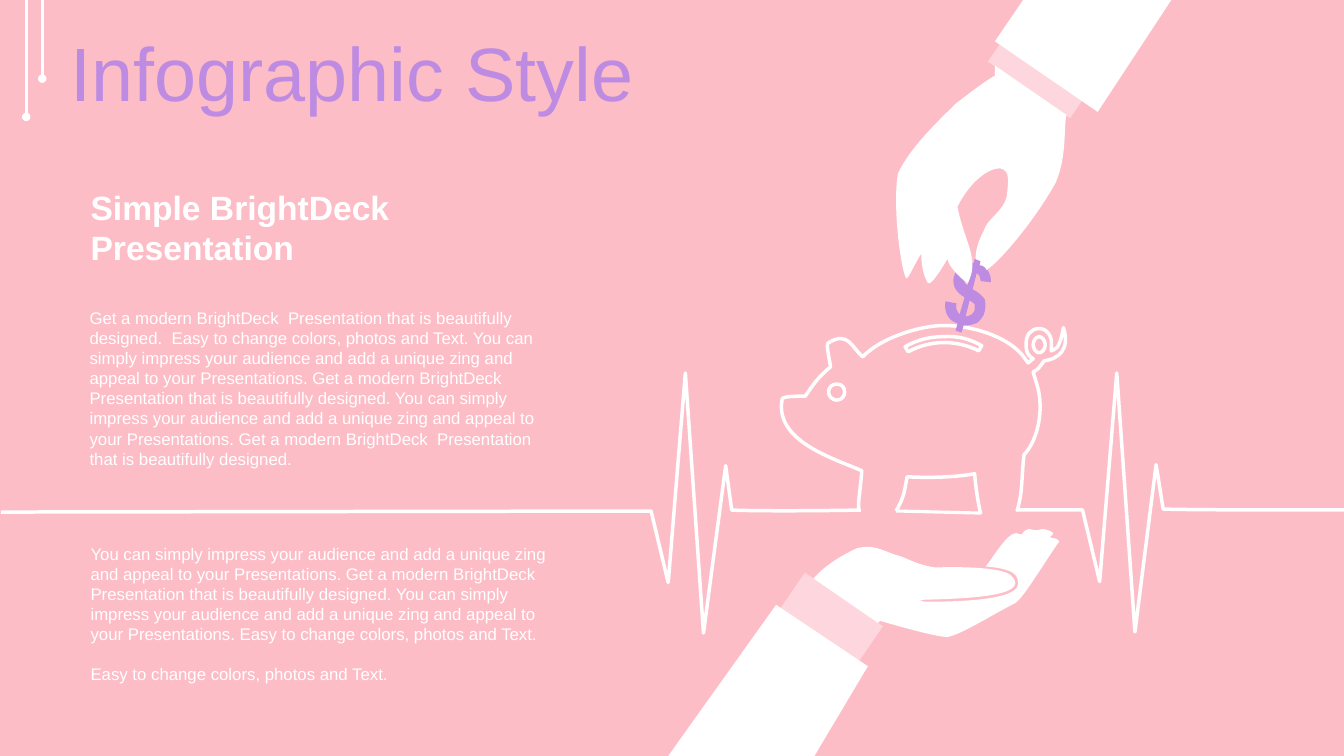
from lxml.etree import SubElement
from pptx import Presentation
from pptx.dml.color import RGBColor
from pptx.enum.shapes import MSO_CONNECTOR, MSO_SHAPE
from pptx.enum.text import MSO_ANCHOR
from pptx.oxml.ns import qn
from pptx.util import Pt

COLORS = {"pink": "FDBDC7", "white": "FFFFFF", "purple": "BE8BE2"}
GRID = Pt(0.72)  # one unit of the outlines below
SIZES = {"M": 2, "L": 2, "C": 6, "Z": 0}  # numbers after each letter

# Each outline is a list of parts that make one shape
PIG = [
    """M 830 381 C 826 381 822 384 822 389 822 393 826 397 830 397
835 397 838 393 838 389 838 384 835 381 830 381 Z""",
    """M 1031 334 C 1028 334 1025 338 1025 342 1025 346 1028 350 1031 350
1034 350 1037 346 1037 342 1037 338 1034 334 1031 334 Z""",
    """M 936 334 C 923 334 910 337 898 344 L 901 349 C 923 337 949 337 971 348
L 974 343 C 962 336 949 333 936 334 Z""",
    """M 973 510 C 970 497 968 483 967 470 945 474 918 474 900 473
897 489 897 493 889 507""",
    """M 852 505 C 851 499 854 483 855 467 828 455 768 438 776 396
776 393 791 393 799 393 807 381 812 374 824 364 823 356 819 341 822 340
842 328 845 345 856 354 874 335 911 324 933 323 964 322 999 334 1014 352
L 1020 360 C 1022 359 1022 358 1025 356 1019 352 1018 349 1018 341
1018 332 1023 326 1031 326 1039 326 1044 334 1043 342
1043 346 1043 344 1043 348 1046 346 1051 349 1055 325
1062 347 1050 356 1036 358 1032 363 1030 367 1025 369
L 1030 386 C 1036 413 1027 440 1016 451 1013 476 1015 487 1009 507"""]

RIGHT_PULSE = ["""M 1008 506 L 1074 506 1091 577 1108 370 1126 627 1147 461
1154 505 C 1174 506 1282 506 1334 506"""]
LEFT_PULSE = ["""M 1 508 L 646 507 663 578 680 370 698 628 720 462
726 506 C 746 507 802 507 854 506"""]

DOLLAR = [
    """M 962 298 L 958 314 C 960 314 962 313 964 312
965 311 966 310 967 308 967 306 967 304 967 302 966 301 964 299 962 298 Z""",
    """M 964 270 C 962 270 960 270 959 271 958 272 957 274 957 275
956 277 956 278 957 280 957 281 958 282 960 283 Z""",
    """M 967 257 L 973 259 972 263 C 976 264 979 266 981 270
983 273 983 276 983 280
L 973 279 C 973 276 972 273 969 271 L 965 287 C 971 290 975 294 977 297
978 301 978 304 977 309 976 314 973 317 970 320 966 322 961 323 956 323
L 954 330 948 328 950 321 C 945 319 942 317 940 313 938 309 937 305 938 299
L 949 301 C 948 303 949 305 949 307 950 309 951 311 952 312
L 957 295 C 952 292 949 289 947 285 946 281 945 277 947 273
948 269 950 265 954 263 957 261 961 260 966 261 Z"""]

GIVER = [
    """M 987 65 L 1058 114 1057 121 C 1056 141 1056 162 1047 182
1025 221 992 259 980 267 L 979 268 977 265 C 976 264 974 263 972 263
L 973 259 968 257 968 255 C 968 248 971 238 976 229
979 217 996 210 999 194 1000 181 1003 169 992 167 981 167 963 179 950 205""",
    """C 956 239 973 257 960 281 957 279 942 267 940 257
934 267 924 283 921 281 918 278 914 266 914 252
909 258 901 278 899 276 894 269 885 203 891 172
903 146 932 119 948 103 969 87 974 83 987 75 Z"""]
GIVER_SLEEVE = ["M 1015 0 L 1162 0 1089 111 987 41 Z"]

TAKER = [
    """M 1020 525 C 1022 525 1024 525 1026 526 1031 527 1033 522 1044 528
1047 530 1041 532 1042 533 1043 535 1047 532 1051 537
1036 558 1014 596 1006 599 984 610 955 629 940 632 933 632 917 628 898 623
L 873 616 871 618 807 574 815 566 C 822 560 831 553 850 544""",
    """C 866 540 873 545 887 550 900 553 907 560 928 563
956 562 998 563 1004 572 1023 592 956 594 917 595
L 912 596 918 597 C 1024 597 1010 579 1009 573
1006 565 989 563 978 562 987 551 1002 523 1012 530
1014 532 1015 526 1020 525 Z"""]
TAKER_SLEEVE = ["M 808 750 L 663 750 C 685 719 748 631 770 600 L 861 661 808 750 Z"]

CLAIM = ("You can simply impress your audience and add a unique zing and "
         "appeal to your Presentations.")
WIDE = "Get a modern BrightDeck  Presentation that is beautifully designed."
MODERN = WIDE.replace("  ", " ")
EASY = "Easy to change colors, photos and Text."
FIRST = f"{WIDE}  {EASY} {CLAIM} {MODERN} {CLAIM} {WIDE}"
SECOND = f"{CLAIM} {WIDE} {CLAIM} {EASY}"


def steps(parts):
    """Yield each letter with its points; numbers may repeat a letter."""
    words = " ".join(parts).split()
    spot = 0
    while spot < len(words):
        if words[spot] in SIZES:
            op = words[spot]
            spot += 1
        nums = [int(word) for word in words[spot:spot + SIZES[op]]]
        spot += SIZES[op]
        yield op, list(zip(nums[::2], nums[1::2]))


class Deck:
    font = "Arial"

    def __init__(self):
        self.prs = Presentation()
        self.prs.slide_width, self.prs.slide_height = Pt(960), Pt(540)
        self.slide = self.prs.slides.add_slide(self.prs.slide_layouts[6])
        self.shapes = self.slide.shapes
        self.paint(self.slide.background.fill, "pink")

    def paint(self, fill, color):
        fill.solid()
        fill.fore_color.rgb = RGBColor.from_string(COLORS[color])

    def line(self, x1, y1, x2, y2, width, tail=None):
        line = self.shapes.add_connector(
            MSO_CONNECTOR.STRAIGHT, Pt(x1), Pt(y1), Pt(x2), Pt(y2))
        self.paint(line.line.fill, "white")
        line.line.width = Pt(width)
        props = line._element.spPr
        if tail:
            SubElement(props.find(qn("a:ln")), qn("a:tailEnd"), type=tail)
        SubElement(props, qn("a:effectLst"))

    def draw(self, parts, fill=None, width=2.5):
        moves = list(steps(parts))
        pen = self.shapes.build_freeform(*moves[0][1][0], scale=GRID)
        for op, points in moves[1:]:
            if op == "M":
                pen.move_to(*points[0])
            else:
                pen.add_line_segments(points, close=op == "Z")
        shape = pen.convert_to_shape()
        # Join each three control points into one curve
        nodes = iter(list(shape._element.find(".//" + qn("a:path"))))
        for op, points in moves:
            node = next(nodes)
            if op == "C":
                node.tag = qn("a:cubicBezTo")
                for other in (next(nodes), next(nodes)):
                    node.append(other[0])
                    other.getparent().remove(other)
        shape.shadow.inherit = False
        if fill:
            self.paint(shape.fill, fill)
            shape.line.fill.background()
        else:
            shape.fill.background()
            self.paint(shape.line.fill, "white")
            shape.line.width = Pt(width)

    def cuff(self, x, y, w, h):
        cuff = self.shapes.add_shape(MSO_SHAPE.RECTANGLE, Pt(x), Pt(y), Pt(w), Pt(h))
        cuff.rotation = 34.5
        cuff.shadow.inherit = False
        self.paint(cuff.fill, "white")
        tint = cuff._element.spPr.find(".//" + qn("a:srgbClr"))
        SubElement(tint, qn("a:alpha"), val="40000")
        cuff.line.fill.background()

    def text(self, x, y, w, h, lines, size, color="white", bold=False,
             pitch=1.0, gap=0, anchor=MSO_ANCHOR.TOP):
        frame = self.shapes.add_textbox(Pt(x), Pt(y), Pt(w), Pt(h)).text_frame
        frame.word_wrap = True
        frame.vertical_anchor = anchor
        frame.text = "\n".join(lines)
        for rank, para in enumerate(frame.paragraphs):
            para.line_spacing = pitch
            if rank:
                para.space_before = Pt(gap)
            for run in para.runs:
                font = run.font
                font.name, font.size, font.bold = self.font, Pt(size), bold
                font.color.rgb = RGBColor.from_string(COLORS[color])


def main():
    deck = Deck()
    # Hanging pins in the corner
    for x, end in ((18.7, 83.5), (30.2, 56.2)):
        deck.line(x, 0, x, end, 2, "oval")
    # Piggy bank on the pulse line, with the coin sign
    for outline in (PIG, RIGHT_PULSE, LEFT_PULSE):
        deck.draw(outline)
    deck.draw(DOLLAR, "purple")
    deck.line(640.1, 365, 700.6, 366.5, 2.25)
    # Hand from above
    deck.draw(GIVER, "white")
    deck.cuff(710.6, 28.1, 71.3, 39.6)
    deck.draw(GIVER_SLEEVE, "white")
    # Hand from below
    deck.draw(TAKER, "white")
    deck.cuff(560.2, 425.5, 67.7, 31)
    deck.draw(TAKER_SLEEVE, "white")
    # Texts
    deck.text(43.2, 26.6, 916.6, 56.9, ["Infographic Style"], 54, "purple",
              pitch=0.9, anchor=MSO_ANCHOR.MIDDLE)
    deck.text(57.6, 129.6, 278, 65.5, ["Simple BrightDeck Presentation"], 24, bold=True)
    deck.text(56.9, 216, 345, 123.8, [FIRST], 12)
    deck.text(57.6, 384.5, 345, 108.7, [SECOND, EASY], 12, gap=14.4)
    deck.prs.save("out.pptx")


if __name__ == "__main__":
    main()
